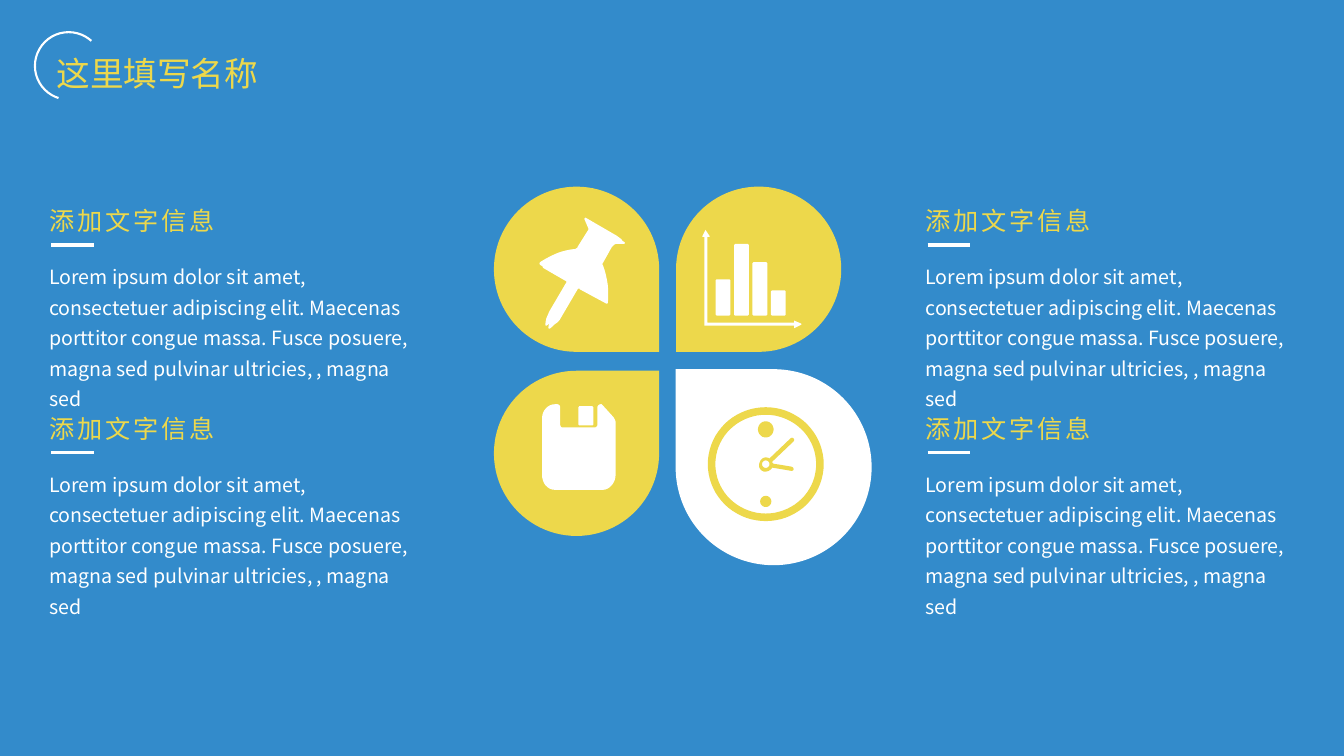
from dataclasses import dataclass
from math import cos, sin, tau

from lxml.etree import SubElement as SubEl
from pptx import Presentation
from pptx.dml.color import RGBColor as RGB
from pptx.enum.shapes import MSO_CONNECTOR as Link, MSO_SHAPE as Kind
from pptx.enum.text import MSO_ANCHOR as Anchor, MSO_AUTO_SIZE as Fit, PP_ALIGN as Align
from pptx.oxml.ns import qn
from pptx.util import Pt


@dataclass(frozen=True)
class Theme:
    blue: RGB = RGB(0x33, 0x8B, 0xCB)
    gold: RGB = RGB(0xED, 0xD8, 0x4B)
    white: RGB = RGB(0xFF, 0xFF, 0xFF)
    font: str = "Noto Sans CJK SC"
    title: int = 24
    head: int = 18
    body: int = 14


NAME = "这里填写名称"
HEAD = "添加文字信息"
BODY = ("Lorem ipsum dolor sit amet, consectetuer adipiscing elit. Maecenas "
        "porttitor congue massa. Fusce posuere, magna sed pulvinar ultricies, , magna sed")

# Icon outlines: pairs are line ends, sixes are Bézier curves, in units of 0.72 pt.
PIN = [(7, 100), (10, 93), (27, 64), (27, 62), (1, 47), (0, 46, 0, 45, 1, 44),
       (12, 37, 23, 32, 36, 31), (37, 30, 38, 30, 38, 29), (48, 13),
       (49, 12, 49, 11, 48, 9), (45, 2), (44, 1, 46, 0, 46, 0), (77, 18), (81, 21),
       (82, 21, 82, 23, 81, 23), (73, 23), (71, 24), (69, 26), (60, 42),
       (60, 42, 59, 43, 60, 44), (65, 57, 66, 69, 65, 81), (65, 82, 64, 83, 63, 82),
       (37, 68), (37, 67, 36, 67, 35, 68), (18, 97), (17, 99, 15, 101, 12, 103),
       (6, 109, 5, 109, 7, 100)]
DISK = [(13, 85), (60, 85), (67, 85, 73, 78, 73, 70), (73, 18), (73, 16, 72, 15, 71, 13),
        (61, 2), (60, 1, 60, 1, 59, 0), (58, 0, 57, 0, 56, 1), (56, 1, 55, 2, 55, 3),
        (55, 20), (55, 22, 54, 23, 52, 23), (20, 23), (19, 23, 18, 22, 18, 20), (18, 3),
        (18, 1, 16, 0, 15, 0), (13, 0), (6, 0, 0, 6, 0, 14), (0, 70),
        (0, 78, 5, 85, 13, 85)]
HANDS = [(64, 60), (62, 63, 59, 64, 56, 64), (52, 63, 50, 59, 51, 56),
         (52, 52, 55, 49, 59, 50), (59, 50, 60, 50, 61, 51), (82, 31),
         (84, 29, 87, 32, 85, 34), (64, 54), (64, 55, 64, 55, 65, 56), (83, 59),
         (86, 60, 86, 64, 82, 63), (64, 60)]
AXES = [(3, 0), (0, 6), (0, 7), (2, 7), (2, 95), (91, 95), (91, 97.5), (98, 94),
        (98, 93), (91, 90), (91, 92), (5, 92), (5, 7), (7, 7), (7, 6)]


def block(x, y, right, low):
    """Outline of a box with slightly cut corners."""
    return [(x + 1, y), (right - 1, y), (right, y + 1), (right, low - 1),
            (right - 1, low), (x + 1, low), (x, low - 1), (x, y + 1)]


def ring(x, y, rx, ry, steps=72):
    return [(x + rx * cos(tau * i / steps), y + ry * sin(tau * i / steps))
            for i in range(steps)]


def trace(path, steps=8):
    """Turn lines and curves into plain points."""
    dots = []
    for item in path:
        if len(item) == 2:
            dots.append(item)
            continue
        ends = [dots[-1], item[:2], item[2:4], item[4:]]
        for i in range(1, steps + 1):
            t = i / steps
            mix = ((1 - t) ** 3, 3 * t * (1 - t) ** 2, 3 * t * t * (1 - t), t ** 3)
            dots.append(tuple(sum(m * e[k] for m, e in zip(mix, ends)) for k in (0, 1)))
    return dots


def write(frame, text, *, size, color, font, lead=None, gap=0):
    """Fill a frame with one paragraph; gap is the letter spacing in points."""
    frame.word_wrap = True
    frame.auto_size = Fit.SHAPE_TO_FIT_TEXT
    frame.vertical_anchor = Anchor.TOP
    para = frame.paragraphs[0]
    para.alignment = Align.LEFT
    if lead:
        para.line_spacing = lead
    run = para.add_run()
    run.text = text
    run.font.size = Pt(size)
    run.font.color.rgb = color
    run.font.name = font
    props = run._r.get_or_add_rPr()
    SubEl(props, qn("a:ea")).set("typeface", font)
    if gap:
        props.set("spc", str(gap * 100))


class Deck:
    def __init__(self, theme):
        self.look = theme
        self.prs = Presentation()
        self.prs.slide_width, self.prs.slide_height = Pt(960), Pt(540)
        self.page = self.prs.slides.add_slide(self.prs.slide_layouts[5])
        back = self.page.background.fill
        back.solid()
        back.fore_color.rgb = theme.blue

    def paint(self, shape, color):
        shape.shadow.inherit = False
        shape.fill.solid()
        shape.fill.fore_color.rgb = color
        shape.line.fill.background()

    def title(self, text, x, y, w, h):
        box = self.page.shapes.title
        box.left, box.top, box.width, box.height = map(Pt, (x, y, w, h))
        write(box.text_frame, text, size=self.look.title, color=self.look.gold,
              font=self.look.font)

    def text(self, text, x, y, w, h, **form):
        box = self.page.shapes.add_textbox(*map(Pt, (x, y, w, h)))
        write(box.text_frame, text, font=self.look.font, **form)

    def arc(self, x, y, size, start, stop):
        arc = self.page.shapes.add_shape(Kind.ARC, *map(Pt, (x, y, size, size)))
        arc.shadow.inherit = False
        # python-pptx counts these angles in units of 5/3 degree
        arc.adjustments[0], arc.adjustments[1] = start * 0.6, stop * 0.6
        arc.fill.background()
        arc.line.color.rgb = self.look.white
        arc.line.width = Pt(1.5)

    def petal(self, x, y, size, turn, color):
        drop = self.page.shapes.add_shape(Kind.TEAR, *map(Pt, (x, y, size, size)))
        drop.rotation = turn
        self.paint(drop, color)

    def icon(self, x, y, color, *paths):
        fine = 10
        pen = None
        for path in paths:
            dots = [(px * fine, py * fine) for px, py in trace(path)]
            if pen is None:
                pen = self.page.shapes.build_freeform(*dots[0], scale=Pt(0.72) / fine)
            else:
                pen.move_to(*dots[0])
            pen.add_line_segments(dots[1:], close=True)
        self.paint(pen.convert_to_shape(Pt(x), Pt(y)), color)

    def rule(self, x, y, w):
        line = self.page.shapes.add_connector(Link.STRAIGHT, Pt(x), Pt(y), Pt(x + w), Pt(y))
        line.line.color.rgb = self.look.white
        line.line.width = Pt(2.5)
        SubEl(line._element.spPr, qn("a:effectLst"))

    def note(self, x, y):
        look = self.look
        self.text(HEAD, x, y, 147.6, 31, size=look.head, color=look.gold, lead=1.2, gap=2)
        self.rule(x + 8.6, y + 36, 30.4)
        self.text(BODY, x, y + 41.8, 280, 93.6, size=look.body, color=look.white, lead=1.3)


def main():
    look = Theme()
    deck = Deck(look)
    deck.arc(25, 23, 48.2, 107.54, 312.24)
    deck.title(NAME, 33.1, 34.5, 167, 36)

    deck.petal(482.6, 263.7, 140, 270, look.white)
    for x, y, turn in ((352.8, 133.3, 90), (482.9, 133.3, 180), (352.8, 264.8, 0)):
        deck.petal(x, y, 118, turn, look.gold)

    bars = [block(13 + 18.3 * i, top, 27.7 + 18.3 * i, 85)
            for i, top in enumerate((49, 14, 32, 60))]
    deck.icon(501.8, 164.2, look.white, AXES, *bars)
    deck.icon(387.2, 288.7, look.white, DISK, block(36, 2, 51, 21))
    deck.icon(505.6, 290.9, look.gold, ring(57.5, 56.5, 57.5, 56.5),
              ring(57.5, 56.5, 50, 49), HANDS, ring(57.5, 56.5, 3.7, 3.7),
              ring(57.5, 22, 7.7, 8), ring(57.5, 93.5, 5.5, 5.5))
    for shift in (0, 2.2):
        deck.icon(385.2 + shift, 155.5 + shift, look.white, PIN)

    for x in (28, 654):
        for y in (139, 287.3):
            deck.note(x, y)
    deck.prs.save("out.pptx")


if __name__ == "__main__":
    main()
